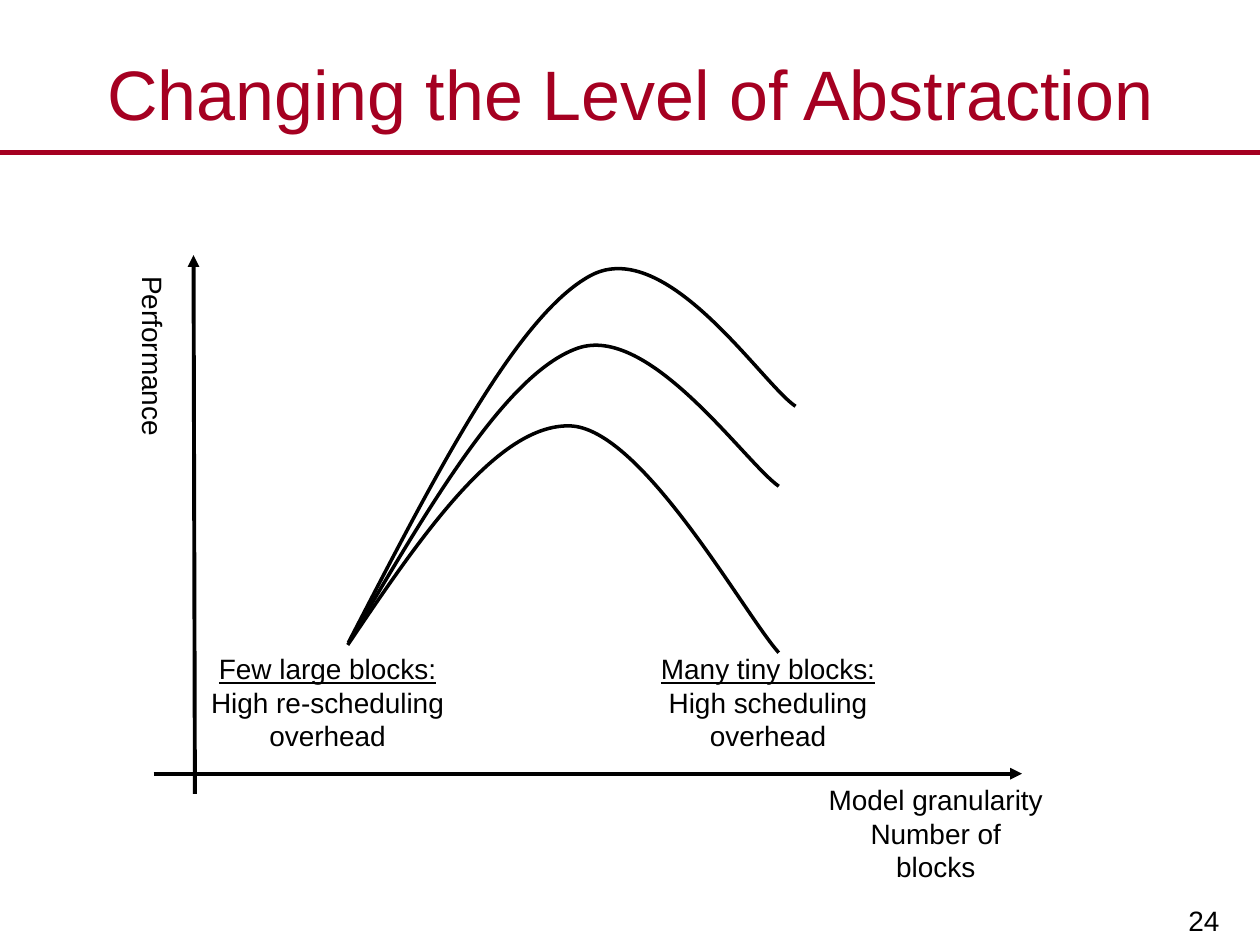
from pptx import Presentation
from pptx.dml.color import RGBColor
from pptx.enum.shapes import MSO_CONNECTOR
from pptx.enum.text import MSO_ANCHOR, PP_ALIGN
from pptx.oxml.ns import qn
from pptx.util import Pt
from lxml.etree import SubElement

RED = RGBColor(0xA5, 0x00, 0x21)
BLACK = RGBColor(0x00, 0x00, 0x00)


class SlideBuilder:
    font = "Arial"
    label_size = 16
    title_size = 40

    def __init__(self, slide):
        self.slide = slide

    def add_run(self, paragraph, text, size, color, underline=False):
        run = paragraph.add_run()
        run.text = text
        run.font.name = self.font
        run.font.size = Pt(size)
        run.font.color.rgb = color
        run.font.underline = underline

    def title(self, text, left, top, width, height):
        heading = self.slide.shapes.title
        heading.left, heading.top = Pt(left), Pt(top)
        heading.width, heading.height = Pt(width), Pt(height)
        frame = heading.text_frame
        frame.vertical_anchor = MSO_ANCHOR.MIDDLE
        frame.paragraphs[0].alignment = PP_ALIGN.CENTER
        self.add_run(frame.paragraphs[0], text, self.title_size, RED)

    def label(self, lines, left, top, width, height, align=PP_ALIGN.CENTER,
              anchor=MSO_ANCHOR.TOP, heading=False, vertical=False):
        box = self.slide.shapes.add_textbox(Pt(left), Pt(top), Pt(width), Pt(height))
        frame = box.text_frame
        frame.word_wrap = True
        frame.vertical_anchor = anchor
        frame.margin_left = frame.margin_right = Pt(6.5)
        frame.margin_top = frame.margin_bottom = Pt(3)
        if vertical:
            frame._txBody.bodyPr.set("vert", "eaVert")
        for i, text in enumerate(lines):
            paragraph = frame.add_paragraph() if i else frame.paragraphs[0]
            paragraph.alignment = align
            self.add_run(paragraph, text, self.label_size, BLACK,
                         underline=heading and i == 0)

    def line(self, start, end, color, weight, arrow=False):
        connector = self.slide.shapes.add_connector(
            MSO_CONNECTOR.STRAIGHT, *(Pt(v) for v in (*start, *end)))
        connector.line.color.rgb = color
        connector.line.width = Pt(weight)
        if arrow:
            SubElement(connector.line._get_or_add_ln(), qn("a:tailEnd"), type="triangle")
        SubElement(connector._element.spPr, qn("a:effectLst"))

    def curve(self, start, *points):
        """Draw cubic Bezier segments; every three points are control, control, end."""
        builder = self.slide.shapes.build_freeform(Pt(start[0]), Pt(start[1]))
        builder.add_line_segments([(Pt(x), Pt(y)) for x, y in points], close=False)
        shape = builder.convert_to_shape()
        # Join each three straight steps into one Bezier segment
        outline = next(shape._element.iter(qn("a:path")))
        steps = outline.findall(qn("a:lnTo"))
        for i in range(0, len(steps), 3):
            bezier = SubElement(outline, qn("a:cubicBezTo"))
            for step in steps[i:i + 3]:
                bezier.append(step[0])
                outline.remove(step)
        shape.shadow.inherit = False
        shape.fill.background()
        shape.line.color.rgb = BLACK
        shape.line.width = Pt(2)


def main():
    prs = Presentation()
    prs.slide_width, prs.slide_height = Pt(720), Pt(540)
    page = SlideBuilder(prs.slides.add_slide(prs.slide_layouts[5]))

    # Header and page number
    page.line((0, 87), (720, 87), RED, 3)
    page.label(["24"], 560.3, 497.7, 143, 41, PP_ALIGN.RIGHT, MSO_ANCHOR.BOTTOM)
    page.title("Changing the Level of Abstraction", 0, 21.6, 720, 62)

    # Axes
    page.line((111.4, 453.6), (110.6, 145.8), BLACK, 2.25, arrow=True)
    page.line((87.8, 442.1), (584, 442.1), BLACK, 2.25, arrow=True)
    page.label(["Model granularity", "Number of blocks"], 466.4, 444.2, 136.6, 63)
    page.label(["Performance"], 72, 154.8, 31.7, 116, vertical=True)

    # Notes at both ends of the curves
    for heading, effect, left in (
            ("Few large blocks:", "High re-scheduling overhead", 112.2),
            ("Many tiny blocks:", "High scheduling overhead", 363.9)):
        page.label([heading, effect], left, 369.4, 150, 63, heading=True)

    # Performance curves: low, middle, high
    page.curve((198.7, 368.6),
               (241.2, 305.3), (284.4, 242.6), (325.4, 243.4),
               (366.5, 244.1), (425.5, 351.4), (445, 373))
    page.curve((199.5, 366.8),
               (244.8, 290.2), (288.7, 213.8), (329.8, 199.1),
               (370.8, 184.3), (425.5, 264.2), (445, 277.9))
    page.curve((199.1, 367.2),
               (247.7, 273.6), (295.2, 180), (337.7, 157.4),
               (380.9, 134.6), (435.6, 219.6), (454.6, 232.2))

    prs.save("out.pptx")


if __name__ == "__main__":
    main()
